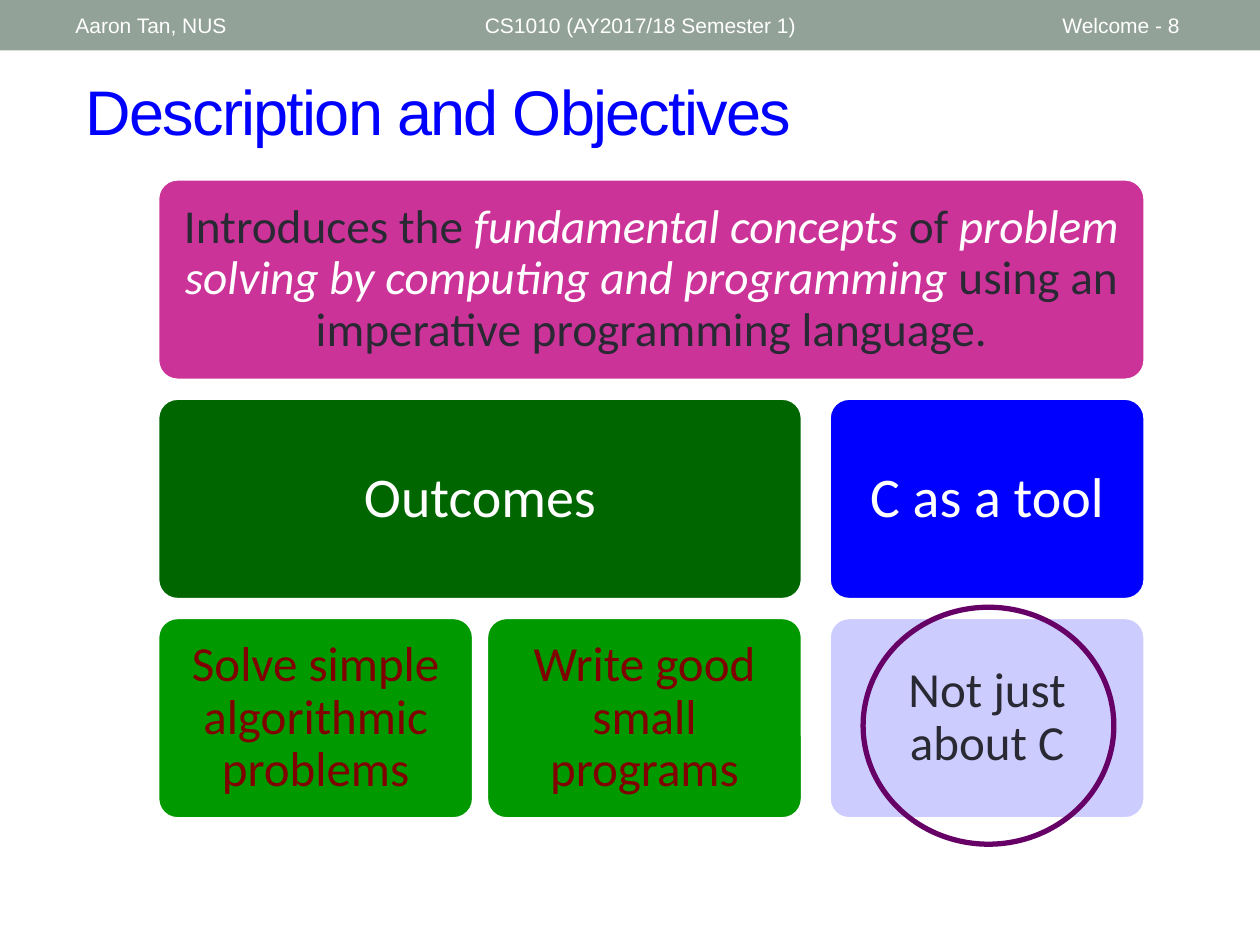
from pptx import Presentation
from pptx.dml.color import RGBColor
from pptx.enum.shapes import MSO_SHAPE
from pptx.enum.text import MSO_ANCHOR, PP_ALIGN
from pptx.util import Pt

RECTANGLE = MSO_SHAPE.RECTANGLE
ROUNDED = MSO_SHAPE.ROUNDED_RECTANGLE
OVAL = MSO_SHAPE.OVAL
MIDDLE = MSO_ANCHOR.MIDDLE
LEFT, CENTER = PP_ALIGN.LEFT, PP_ALIGN.CENTER

WHITE, DARK, MAROON = "FFFFFF", "292934", "800000"
PINK, DARK_GREEN, GREEN = "CC3399", "006600", "009900"
BLUE, LAVENDER, PURPLE, GREY = "0000FF", "CCCCFF", "660066", "93A299"

# Grid of cards: two columns for the outcomes, one for the tool
GRID_LEFT, GRID_TOP = 90, 102.2
CARD_WIDTH, CARD_HEIGHT = 180.7, 115.2
COLUMN_GAP, GROUP_GAP, ROW_GAP = 7.2, 15.1, 10.1
OUTCOMES_WIDTH = 2 * CARD_WIDTH + COLUMN_GAP
FULL_WIDTH = OUTCOMES_WIDTH + GROUP_GAP + CARD_WIDTH
SECOND_LEFT = GRID_LEFT + CARD_WIDTH + COLUMN_GAP
TOOL_LEFT = GRID_LEFT + OUTCOMES_WIDTH + GROUP_GAP


def rgb(code):
    return RGBColor.from_string(code)


def place(left, top, width, height):
    return Pt(left), Pt(top), Pt(width), Pt(height)


def style_font(font, name, size, color=None):
    font.name = name
    font.size = Pt(size)
    if color:
        font.color.rgb = rgb(color)


def add_title(slide, text):
    title = slide.shapes.title
    title.left, title.top, title.width, title.height = place(41.8, 36, 642.2, 54)
    title.text_frame.vertical_anchor = MIDDLE
    paragraph = title.text_frame.paragraphs[0]
    paragraph.alignment = LEFT
    run = paragraph.add_run()
    run.text = text
    style_font(paragraph.font, "Arial", 36, BLUE)
    run.font._element.set("spc", "-100")


def add_header_bar(slide):
    bar = slide.shapes.add_shape(RECTANGLE, *place(0, 0, 720, 28.8))
    bar.shadow.inherit = False
    bar.fill.solid()
    bar.fill.fore_color.rgb = rgb(GREY)
    bar.line.fill.background()


def add_header_text(slide, text, left, width):
    box = slide.shapes.add_textbox(*place(left, 1.4, width, 26))
    frame = box.text_frame
    frame.word_wrap = True
    frame.vertical_anchor = MIDDLE
    frame.text = text
    style_font(frame.paragraphs[0].font, "Arial", 12, WHITE)


def add_card(slide, row, left, width, fill, size, inset, runs):
    """Add a rounded card; runs holds (text, color, italic) entries."""
    top = GRID_TOP + row * (CARD_HEIGHT + ROW_GAP)
    card = slide.shapes.add_shape(ROUNDED, *place(left, top, width, CARD_HEIGHT))
    card.adjustments[0] = 0.1
    card.shadow.inherit = False
    card.fill.solid()
    card.fill.fore_color.rgb = rgb(fill)
    card.line.color.rgb = rgb(WHITE)
    card.line.width = Pt(2.08)

    frame = card.text_frame
    frame.word_wrap = True
    frame.vertical_anchor = MIDDLE
    frame.margin_left = frame.margin_right = Pt(inset)
    frame.margin_top = frame.margin_bottom = Pt(inset)
    paragraph = frame.paragraphs[0]
    paragraph.alignment = CENTER
    paragraph.line_spacing = 0.9
    style_font(paragraph.font, "Calibri", size)
    for text, color, italic in runs:
        run = paragraph.add_run()
        run.text = text
        run.font.color.rgb = rgb(color)
        run.font.italic = italic


def add_highlight(slide):
    ring = slide.shapes.add_shape(OVAL, *place(493.2, 347, 143.3, 135.4))
    ring.shadow.inherit = False
    ring.fill.background()
    ring.line.color.rgb = rgb(PURPLE)
    ring.line.width = Pt(3)


def main():
    prs = Presentation()
    prs.slide_width, prs.slide_height = Pt(720), Pt(540)
    slide = prs.slides.add_slide(prs.slide_layouts[5])

    # Header and title
    add_header_bar(slide)
    add_title(slide, "Description and Objectives")
    for text, left, width in (
        ("Aaron Tan, NUS", 36, 228),
        ("CS1010 (AY2017/18 Semester 1)", 270, 324),
        ("Welcome - 8", 600, 96.5),
    ):
        add_header_text(slide, text, left, width)

    # Course description
    add_card(slide, 0, GRID_LEFT, FULL_WIDTH, PINK, 27, 8, [
        ("Introduces the ", DARK, False),
        ("fundamental concepts ", WHITE, True),
        ("of ", DARK, False),
        ("problem solving by computing and programming ", WHITE, True),
        ("using an imperative programming language.", DARK, False),
    ])

    # Objectives, and the points below them
    for row, left, width, fill, size, inset, text, color in (
        (1, GRID_LEFT, OUTCOMES_WIDTH, DARK_GREEN, 32, 9.5, "Outcomes", WHITE),
        (2, GRID_LEFT, CARD_WIDTH, GREEN, 28, 8.5,
         "Solve simple algorithmic problems", MAROON),
        (2, SECOND_LEFT, CARD_WIDTH, GREEN, 28, 8.5,
         "Write good small programs", MAROON),
        (1, TOOL_LEFT, CARD_WIDTH, BLUE, 32, 9.5, "C as a tool", WHITE),
        (2, TOOL_LEFT, CARD_WIDTH, LAVENDER, 28, 8.5, "Not just about C", DARK),
    ):
        add_card(slide, row, left, width, fill, size, inset, [(text, color, False)])

    add_highlight(slide)
    prs.save("out.pptx")


if __name__ == "__main__":
    main()
